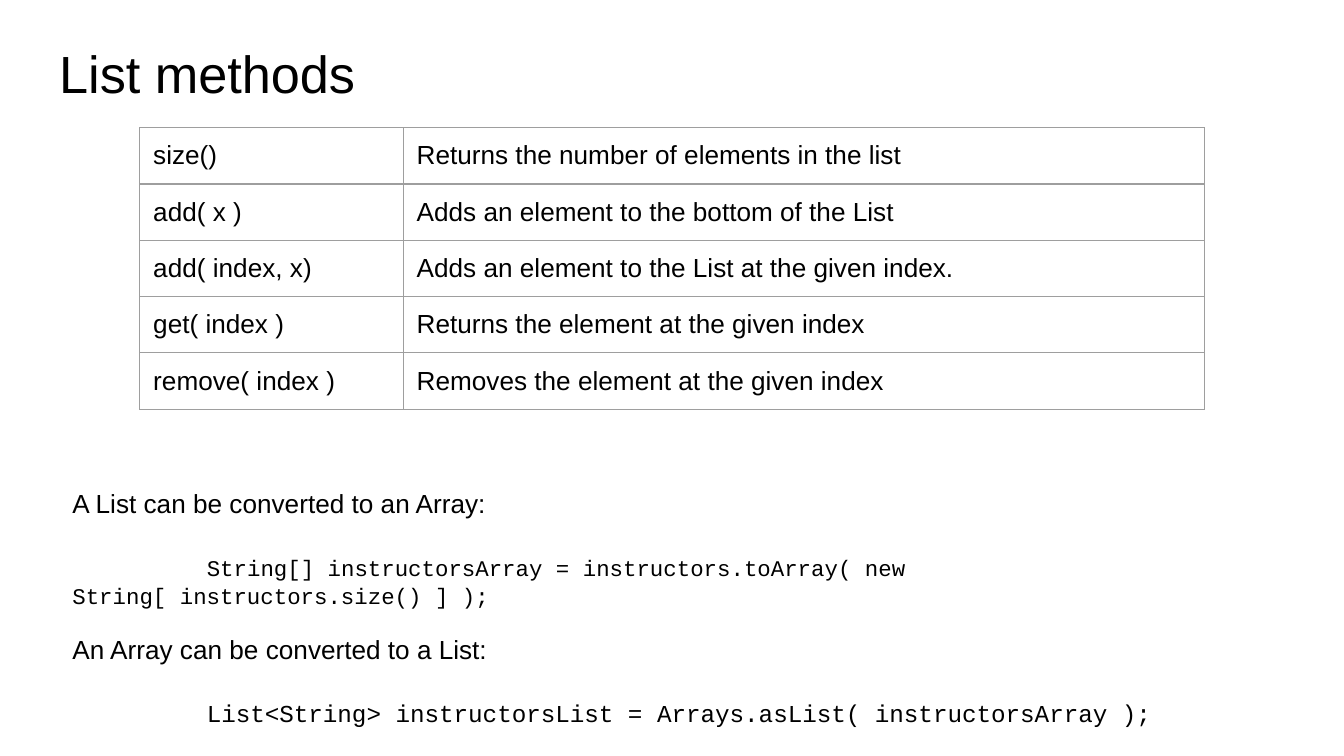
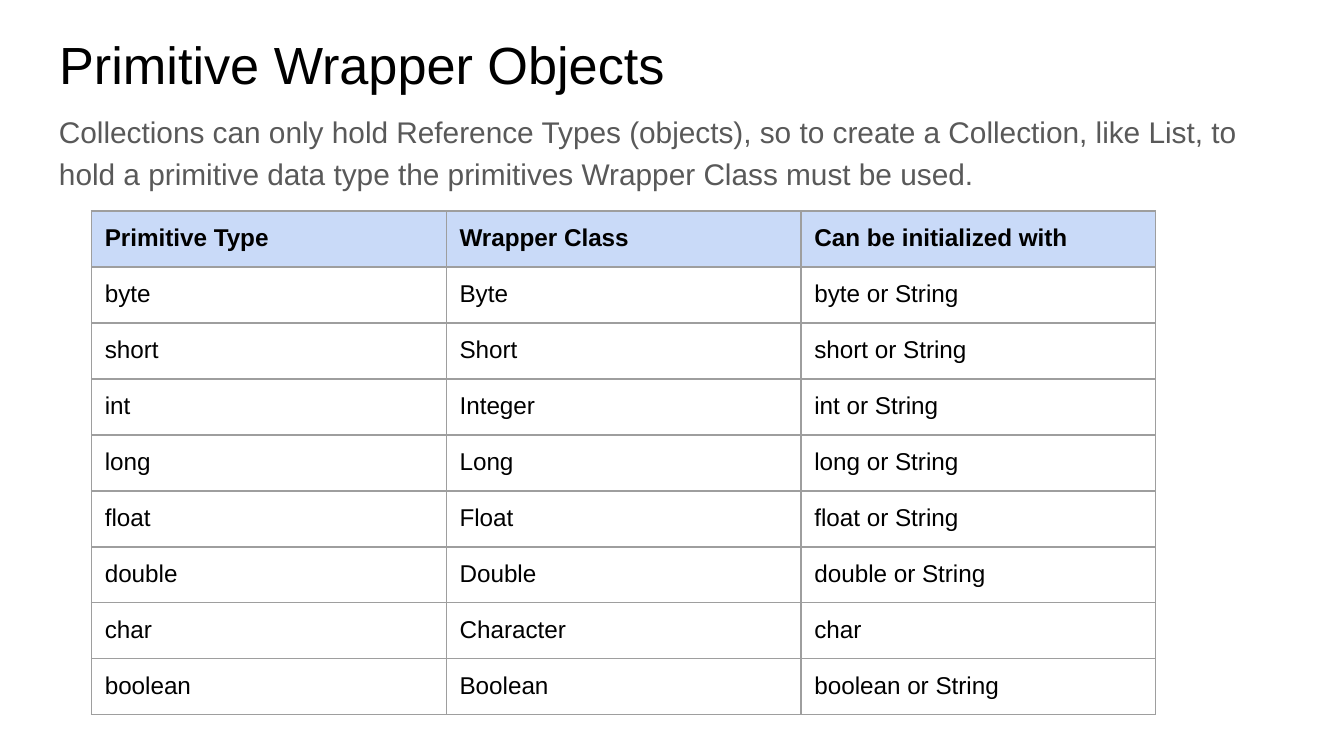
from lxml.etree import SubElement
from pptx import Presentation
from pptx.dml.color import RGBColor
from pptx.enum.text import MSO_ANCHOR as Anchor, MSO_AUTO_SIZE as AutoSize, PP_ALIGN as Align
from pptx.oxml.ns import qn
from pptx.util import Inches, Pt

BLACK, GREY, BORDER, HEADER = "000000", "595959", "9E9E9E", "C9DAF8"
SANS, MONO = "Arial", "Courier New"
INSET = Inches(0.1)
ROW_HEIGHT = Inches(5) // 12

LIST_METHODS = [
    ("size()", "Returns the number of elements in the list"),
    ("add( x )", "Adds an element to the bottom of the List"),
    ("add( index, x)", "Adds an element to the List at the given index."),
    ("get( index )", "Returns the element at the given index"),
    ("remove( index )", "Removes the element at the given index"),
]
WRAPPERS = [
    ("Primitive Type", "Wrapper Class", "Can be initialized with"),
    ("byte", "Byte", "byte or String"),
    ("short", "Short", "short or String"),
    ("int", "Integer", "int or String"),
    ("long", "Long", "long or String"),
    ("float", "Float", "float or String"),
    ("double", "Double", "double or String"),
    ("char", "Character", "char"),
    ("boolean", "Boolean", "boolean or String"),
]
# Text, font, size, space before, line spacing, first-line indent
CONVERSIONS = [
    ("A List can be converted to an Array:", SANS, 14, 0, 1.0, 0),
    ("String[] instructorsArray = instructors.toArray( new String[ instructors.size() ] );",
     MONO, 12, 18, 1.05, 1),
    ("An Array can be converted to a List:", SANS, 14, 13, 1.0, 0),
    ("List<String> instructorsList = Arrays.asList( instructorsArray );", MONO, 13, 17, 1.05, 1),
]


def color(code):
    return RGBColor.from_string(code)


def set_font(para, size, name=SANS, code=BLACK, bold=False):
    font = para.font
    font.name, font.size, font.bold = name, Pt(size), bold
    font.color.rgb = color(code)


def set_insets(target):
    target.margin_left = target.margin_right = INSET
    target.margin_top = target.margin_bottom = INSET
    target.vertical_anchor = Anchor.TOP


def prepare_frame(frame):
    set_insets(frame)
    frame.word_wrap = True
    frame.auto_size = AutoSize.NONE


def add_titled_page(deck, title, top):
    page = deck.slides.add_slide(deck.slide_layouts[5])
    box = page.shapes.title
    box.left, box.top, box.width, box.height = map(Inches, (0.34, top, 9.32, 0.63))
    prepare_frame(box.text_frame)
    box.text_frame.text = title
    para = box.text_frame.paragraphs[0]
    para.alignment = Align.LEFT
    set_font(para, 28)
    return page


def add_text_frame(page, left, top, width, height):
    box = page.shapes.add_textbox(*map(Inches, (left, top, width, height)))
    prepare_frame(box.text_frame)
    return box.text_frame


def set_borders(cell):
    properties = cell._tc.get_or_add_tcPr()
    for position, side in enumerate(("a:lnL", "a:lnR", "a:lnT", "a:lnB")):
        line = properties.makeelement(qn(side), {"w": str(Pt(0.75))})
        fill = SubElement(line, qn("a:solidFill"))
        SubElement(fill, qn("a:srgbClr"), val=BORDER)
        properties.insert(position, line)


def add_grid(page, left, top, widths, rows, size, has_header=False):
    table = page.shapes.add_table(
        len(rows), len(widths), Inches(left), Inches(top),
        Inches(sum(widths)), ROW_HEIGHT * len(rows)).table
    table.first_row = table.horz_banding = False
    for column, width in zip(table.columns, widths):
        column.width = Inches(width)
    for row_index, texts in enumerate(rows):
        table.rows[row_index].height = ROW_HEIGHT
        is_header = has_header and row_index == 0
        for column_index, text in enumerate(texts):
            cell = table.cell(row_index, column_index)
            cell.text = text
            set_insets(cell)
            set_font(cell.text_frame.paragraphs[0], size, bold=is_header)
            if is_header:
                cell.fill.solid()
                cell.fill.fore_color.rgb = color(HEADER)
            else:
                cell.fill.background()
            set_borders(cell)


def add_conversions(page, left, top, width, height):
    frame = add_text_frame(page, left, top, width, height)
    for index, (text, font, size, before, spacing, indent) in enumerate(CONVERSIONS):
        para = frame.add_paragraph() if index else frame.paragraphs[0]
        para.text = text
        para.line_spacing = spacing
        if before:
            para.space_before = Pt(before)
        if indent:
            para._p.get_or_add_pPr().set("indent", str(Inches(indent)))
        set_font(para, size, font)


def add_list_methods_page(deck):
    page = add_titled_page(deck, "List methods", 0.21)
    add_grid(page, 1.04, 0.95, (1.96, 5.96), LIST_METHODS, 14)
    add_conversions(page, 0.44, 3.53, 9.22, 1.87)


def add_wrappers_page(deck):
    page = add_titled_page(deck, "Primitive Wrapper Objects", 0.14)
    para = add_text_frame(page, 0.34, 0.71, 9.32, 0.87).paragraphs[0]
    para.text = ("Collections can only hold Reference Types (objects), so to create a "
                 "Collection, like List, to hold a primitive data type the primitives "
                 "Wrapper Class must be used.")
    para.line_spacing = 1.15
    para.space_after = Pt(16)
    set_font(para, 16, code=GREY)
    add_grid(page, 0.68, 1.57, (2.64,) * 3, WRAPPERS, 13, has_header=True)


def main():
    deck = Presentation()
    deck.slide_width = Inches(10)
    deck.slide_height = deck.slide_width * 9 // 16
    add_list_methods_page(deck)
    add_wrappers_page(deck)
    deck.save("out.pptx")


if __name__ == "__main__":
    main()
